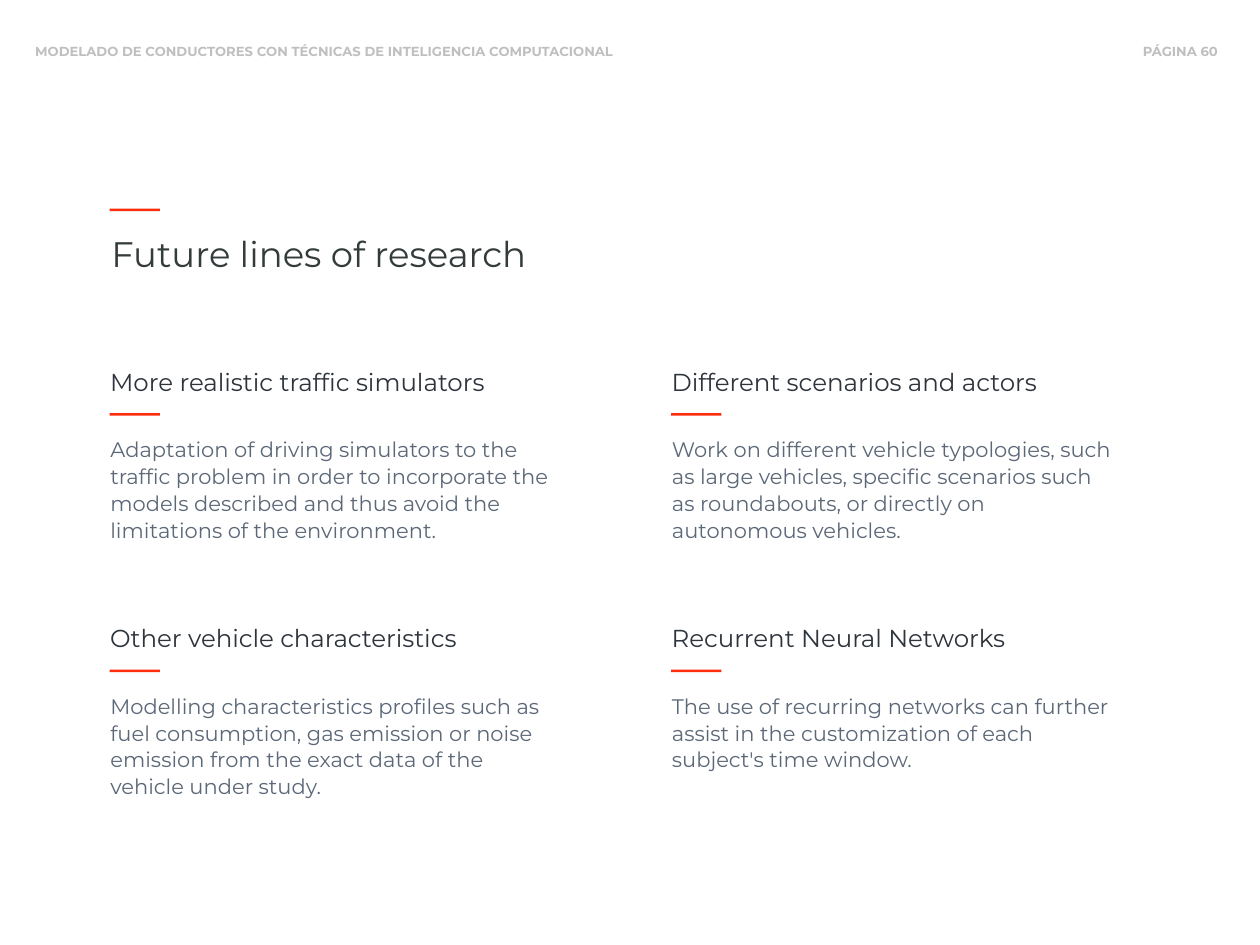
import pptx
import pptx.dml.color
import pptx.enum.shapes
import pptx.enum.text
import pptx.util

Cm = pptx.util.Cm
Pt = pptx.util.Pt
RGB = pptx.dml.color.RGBColor

GREY = RGB(0xBF, 0xBF, 0xBF)
DARK = RGB(0x33, 0x3B, 0x3B)
INK = RGB(0x2E, 0x34, 0x3C)
SLATE = RGB(0x5C, 0x68, 0x78)
RED = RGB(0xFC, 0x2D, 0x0E)

# Text formats
RUNNING = {"size": Pt(15), "bold": True}
TITLE = {"size": Pt(40.5)}
HEADING = {"size": Pt(28)}
BODY = {"size": Pt(24)}

deck = pptx.Presentation()
deck.slide_width, deck.slide_height = Cm(50.8), Cm(38.1)
slide = deck.slides.add_slide(deck.slide_layouts[5])


def write(box, text, style, color, side=0.25, edge=0.13):
    frame = box.text_frame
    layout = {
        "word_wrap": True,
        "auto_size": pptx.enum.text.MSO_AUTO_SIZE.NONE,
        "vertical_anchor": pptx.enum.text.MSO_ANCHOR.TOP,
        "margin_left": Cm(side), "margin_right": Cm(side),
        "margin_top": Cm(edge), "margin_bottom": Cm(edge),
    }
    for name, value in layout.items():
        setattr(frame, name, value)
    line = frame.paragraphs[0]
    line.text = text
    line.alignment = pptx.enum.text.PP_ALIGN.LEFT
    for name, value in {"name": "Montserrat", **style}.items():
        setattr(line.font, name, value)
    line.font.color.rgb = color
    return line


def rule(left, top):
    bar = slide.shapes.add_shape(
        pptx.enum.shapes.MSO_SHAPE.RECTANGLE, Cm(left), Cm(top), Cm(2.03), Cm(0.1))
    bar.shadow.inherit = False
    bar.fill.solid()
    bar.fill.fore_color.rgb = RED
    bar.line.fill.background()


# Running header
for left, width, text in (
    (1.04, 25, "MODELADO DE CONDUCTORES CON TÉCNICAS DE INTELIGENCIA COMPUTACIONAL"),
    (45.7, 4.4, "PÁGINA 60"),
):
    box = slide.shapes.add_textbox(Cm(left), Cm(1.55), Cm(width), Cm(1.02))
    write(box, text, RUNNING, GREY, 0.38, 0.2)

# Title
title = slide.shapes.title
place = {"left": Cm(4.24), "top": Cm(9.22), "width": Cm(17.5), "height": Cm(1.98)}
for name, value in place.items():
    setattr(title, name, value)
write(title, "Future lines of research", TITLE, DARK)
rule(4.42, 8.41)

# Research topics, two by two
TOPICS = (
    ("More realistic traffic simulators",
     "Adaptation of driving simulators to the traffic problem in order to incorporate "
     "the models described and thus avoid the limitations of the environment."),
    ("Different scenarios and actors",
     "Work on different vehicle typologies, such as large vehicles, specific scenarios "
     "such as roundabouts, or directly on autonomous vehicles."),
    ("Other vehicle characteristics",
     "Modelling characteristics profiles such as fuel consumption, gas emission or noise "
     "emission from the exact data of the vehicle under study."),
    ("Recurrent Neural Networks",
     "The use of recurring networks can further assist in the customization of each "
     "subject's time window."),
)
for count, (head, text) in enumerate(TOPICS):
    row, col = divmod(count, 2)
    left, top = 4.42 + 22.64 * col, 14.66 + 10.34 * row
    box = slide.shapes.add_textbox(Cm(left - 0.23), Cm(top), Cm(19.4), Cm(1.45))
    write(box, head, HEADING, INK)
    rule(left, top + 2)
    box = slide.shapes.add_textbox(Cm(left - 0.43), Cm(top + 2.66), Cm(18.95), Cm(4.8))
    write(box, text, BODY, SLATE, 0.46, 0.23).line_spacing = Pt(30.6)

deck.save("out.pptx")
